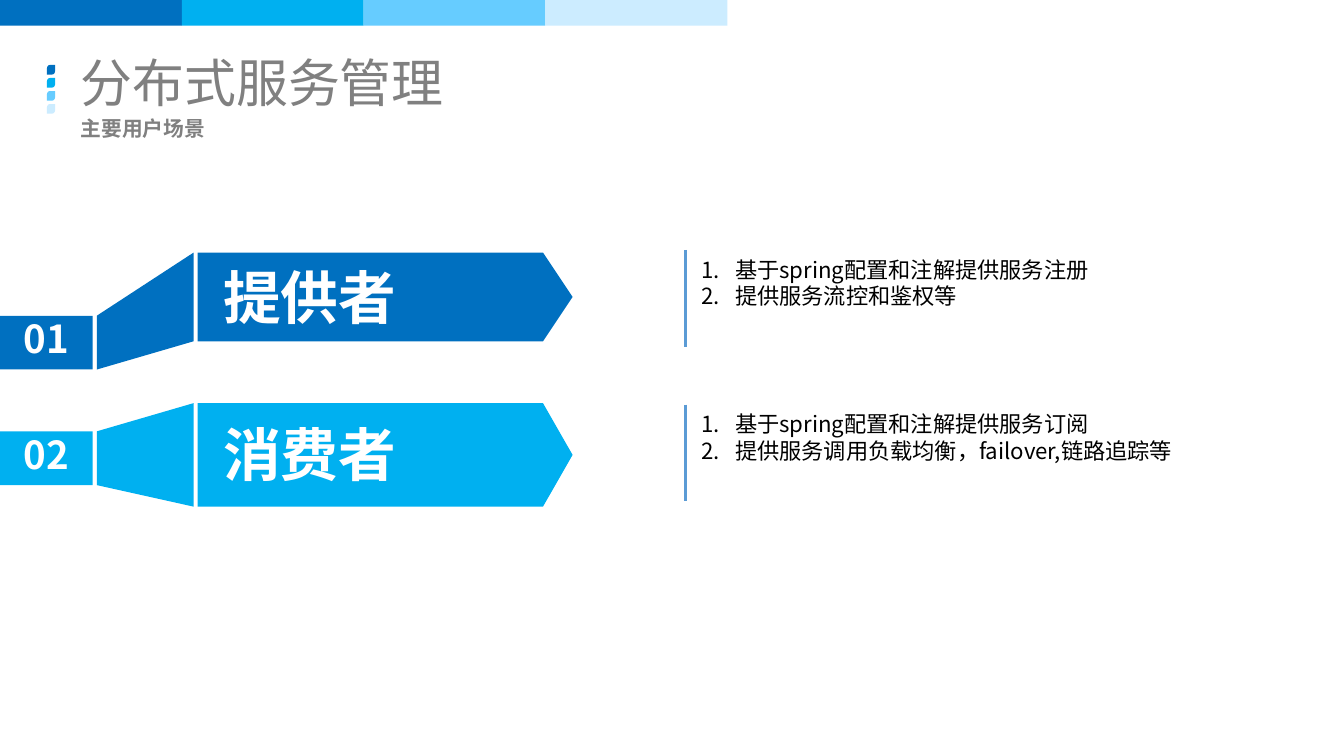
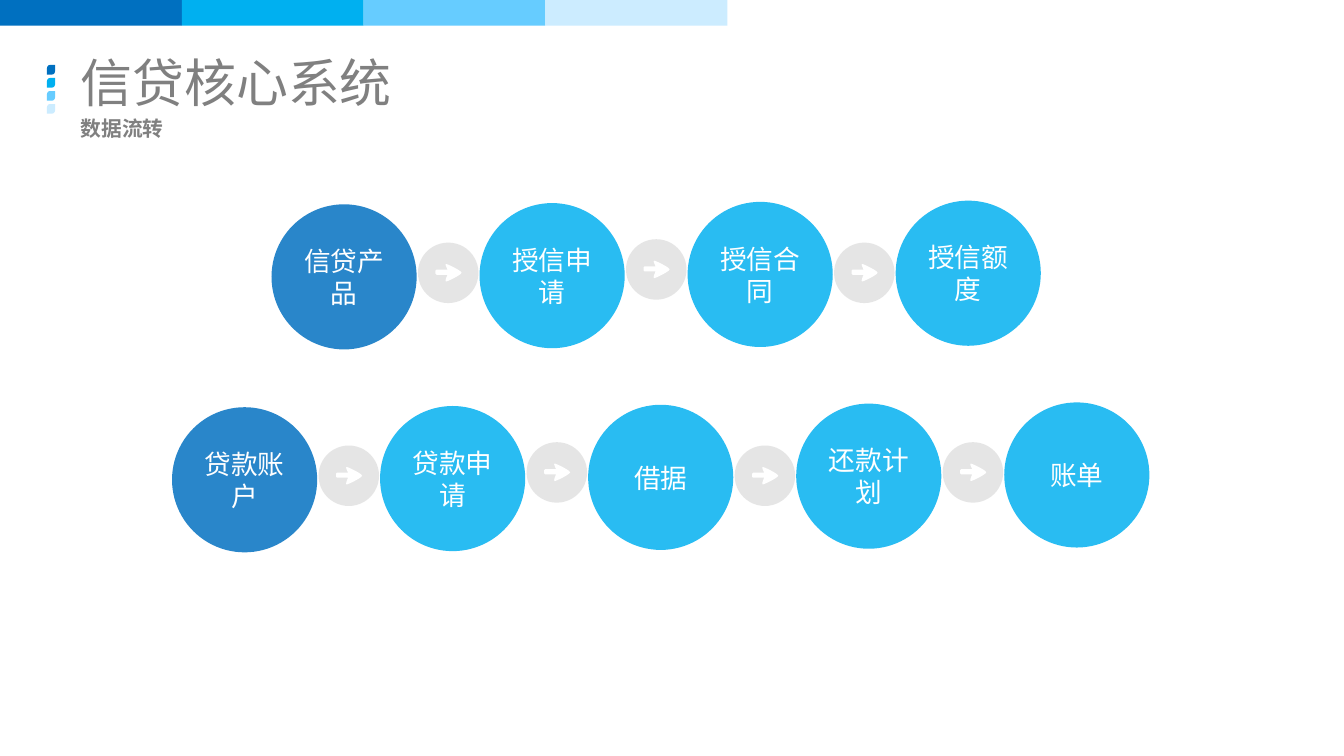
from dataclasses import dataclass

from lxml import etree
from pptx import Presentation
from pptx.dml.color import RGBColor
from pptx.enum.shapes import MSO_CONNECTOR, MSO_SHAPE
from pptx.enum.text import MSO_ANCHOR, MSO_AUTO_SIZE, PP_ALIGN
from pptx.oxml.ns import qn
from pptx.util import Inches, Pt

RECTANGLE = MSO_SHAPE.RECTANGLE
ELLIPSE = MSO_SHAPE.OVAL
LEAF = MSO_SHAPE.ROUND_2_DIAG_RECTANGLE
STRAIGHT = MSO_CONNECTOR.STRAIGHT
TOP, MIDDLE = MSO_ANCHOR.TOP, MSO_ANCHOR.MIDDLE
LEFT, CENTER, JUSTIFY = PP_ALIGN.LEFT, PP_ALIGN.CENTER, PP_ALIGN.JUSTIFY
GROW = MSO_AUTO_SIZE.SHAPE_TO_FIT_TEXT

# The slide is a grid of 100 columns by 56.25 rows
COLUMNS, ROWS = 100, 56.25
CELL = Inches(0.1)


@dataclass(frozen=True)
class Theme:
    font: str = "Noto Sans CJK SC"
    blues: tuple = ("0070C0", "00B0F0", "66CCFF", "CCECFF")
    white: str = "FFFFFF"
    black: str = "000000"
    heading: str = "808080"
    rule: str = "5B9BD5"
    link: str = "D8D8D8"
    title_size: float = 27.8
    subtitle_size: float = 11.1
    banner_size: float = 30.9
    number_size: float = 20.6
    list_size: float = 11.9
    step_size: float = 14.3
    step_opacity: int = 84
    link_opacity: int = 65
    rule_width: float = 1.5


THEME = Theme()


@dataclass(frozen=True)
class Box:
    """An area in columns and rows of the grid."""
    left: float
    top: float
    width: float
    height: float

    def inner(self, left, top, width, height):
        return Box(self.left + left, self.top + top, width, height)

    def lengths(self):
        return [cells(v) for v in (self.left, self.top, self.width, self.height)]


PAGE = Box(0, 0, COLUMNS, ROWS)


def cells(count):
    return round(count * CELL)


# ---- Drawing helpers ----

def paint(shape, color, opacity=100):
    shape.shadow.inherit = False
    shape.line.fill.background()
    shape.fill.solid()
    shape.fill.fore_color.rgb = RGBColor.from_string(color)
    if opacity < 100:
        tint = shape._element.spPr.find(qn("a:solidFill"))[0]
        etree.SubElement(tint, qn("a:alpha"), val=str(opacity * 1000))
    return shape


def add_preset(slide, kind, box, color, opacity=100):
    return paint(slide.shapes.add_shape(kind, *box.lengths()), color, opacity)


def add_outline(slide, box, points, color):
    """Draw a closed outline from points measured from the box's corner."""
    corners = [(cells(box.left + x), cells(box.top + y)) for x, y in points]
    builder = slide.shapes.build_freeform(*corners[0])
    builder.add_line_segments(corners[1:], close=True)
    return paint(builder.convert_to_shape(), color)


def write(shape, lines, size, color, bold=False, align=LEFT, anchor=TOP,
          insets=(0.9, 0.4), wrap=True, grow=False):
    frame = shape.text_frame
    frame.word_wrap = wrap
    frame.vertical_anchor = anchor
    if grow:
        frame.auto_size = GROW
    frame.margin_left = frame.margin_right = cells(insets[0])
    frame.margin_top = frame.margin_bottom = cells(insets[1])
    for index, line in enumerate(lines):
        paragraph = frame.add_paragraph() if index else frame.paragraphs[0]
        paragraph.text = line
        paragraph.alignment = align
        font = paragraph.font
        font.name, font.size, font.bold = THEME.font, Pt(size), bold
        font.color.rgb = RGBColor.from_string(color)
        defaults = paragraph._p.pPr.find(qn("a:defRPr"))
        etree.SubElement(defaults, qn("a:ea"), typeface=THEME.font)
    return frame.paragraphs


def add_text(slide, box, lines, size, color, **options):
    return write(slide.shapes.add_textbox(*box.lengths()), lines, size, color, **options)


def hang(paragraph, indent, numbered=False):
    properties = paragraph._p.get_or_add_pPr()
    properties.set("marL", str(cells(indent)))
    properties.set("indent", str(-cells(indent)))
    if numbered:
        number = etree.Element(qn("a:buAutoNum"), type="arabicPeriod")
        properties.insert(0, number)


def bezier(start, first, second, end, steps=6):
    """Points along a cubic curve, without its start."""
    for step in range(1, steps + 1):
        t = step / steps
        weights = ((1 - t) ** 3, 3 * t * (1 - t) ** 2, 3 * t * t * (1 - t), t ** 3)
        knots = (start, first, second, end)
        yield tuple(sum(w * k[axis] for w, k in zip(weights, knots)) for axis in (0, 1))


# ---- Parts shared by both slides ----

def add_header(slide, box, title, subtitle):
    band_width = box.width * 0.1353
    for index, color in enumerate(THEME.blues):
        add_preset(slide, RECTANGLE,
                   box.inner(index * band_width, 0, band_width, 1.9), color)
        leaf = add_preset(slide, LEAF,
                          box.inner(3.5, 4.83 + index * 0.97, 0.6, 0.72), color)
        leaf.adjustments[0] = 0.4
    add_text(slide, box.inner(5, 4.1, 90, 4), [title], THEME.title_size,
             THEME.heading, anchor=MIDDLE, insets=(1, 0.5))
    caption = add_text(slide, box.inner(5, 8.1, 90, 3.3), [subtitle],
                       THEME.subtitle_size, THEME.heading, bold=True, insets=(1, 0.5))[0]
    caption.space_before = Pt(THEME.subtitle_size * 0.2)
    hang(caption, 3.7)


def add_page(presentation, title, subtitle):
    slide = presentation.slides.add_slide(presentation.slide_layouts[6])
    slide.background.fill.solid()
    slide.background.fill.fore_color.rgb = RGBColor.from_string(THEME.white)
    add_header(slide, PAGE, title, subtitle)
    return slide


# ---- Scenario slide ----

def add_ribbon(slide, box, tab_top, number, role, color):
    """A numbered tab that folds out into a pointed banner."""
    tab_height, fold_left, fold_right = 4, 7.2, 14.4
    banner_left, shoulder = 14.7, 40.4
    add_outline(slide, box, [(fold_left, tab_top + tab_height), (fold_right, box.height),
                             (fold_right, 0), (fold_left, tab_top)], color)
    add_preset(slide, RECTANGLE, box.inner(-0.3, tab_top, 7.2, tab_height), color)
    add_outline(slide, box, [(banner_left, 0), (shoulder, 0), (box.width, box.height / 2),
                             (shoulder, box.height), (banner_left, box.height)], color)
    add_text(slide, box.inner(15.7, (box.height - 6.1) / 2, 14.8, 6.1), [role],
             THEME.banner_size, THEME.white, bold=True, wrap=False, grow=True)
    add_text(slide, box.inner(0.85, tab_top - 0.45, 5.3, 4.3), [number],
             THEME.number_size, THEME.white, bold=True, wrap=False, grow=True)


def add_duties(slide, box, lines):
    """A numbered list beside a vertical rule."""
    left, top, _, height = box.lengths()
    rule = slide.shapes.add_connector(STRAIGHT, left, top, left, top + height)
    rule.line.color.rgb = RGBColor.from_string(THEME.rule)
    rule.line.width = Pt(THEME.rule_width)
    etree.SubElement(rule._element.spPr, qn("a:effectLst"))
    paragraphs = add_text(slide, box.inner(0.3, 0.05, box.width - 0.3, 4.9), lines,
                          THEME.list_size, THEME.black, align=JUSTIFY, grow=True)
    for paragraph in paragraphs:
        hang(paragraph, 2.5, numbered=True)


def build_scenarios(presentation):
    slide = add_page(presentation, "分布式服务管理", "主要用户场景")
    scenarios = [
        ("提供者", Box(0, 18.8, 42.6, 6.6), 4.7, 18.6,
         ["基于spring配置和注解提供服务注册", "提供服务流控和鉴权等"]),
        ("消费者", Box(0, 30, 42.6, 7.7), 2.1, 30.1,
         ["基于spring配置和注解提供服务订阅",
          "提供服务调用负载均衡，failover,链路追踪等"]),
    ]
    for index, (role, box, tab_top, list_top, lines) in enumerate(scenarios):
        add_ribbon(slide, box, tab_top, f"{index + 1:02}", role, THEME.blues[index])
        add_duties(slide, Box(51, list_top, 41.8, 7.2), lines)


# ---- Data flow slide ----

def add_link(slide, box):
    """A pale disc holding a small arrow."""
    add_preset(slide, ELLIPSE, box, THEME.link, THEME.link_opacity)
    top, neck, foot, bottom = (0.8, 0), (0.9, 0.42), (0.9, 0.8), (0.8, 1.3)
    tip = (1.94, 0.65)
    points = [top, *bezier(top, (0.7, 0), (0.8, 0.2), neck),
              (0.08, 0.42), (0, 0.5), (0, 0.72), (0.08, 0.8), foot,
              *bezier(foot, (0.8, 1), (0.7, 1.3), bottom),
              *bezier(bottom, (0.9, 1.3), (1.94, 0.8), tip),
              *bezier(tip, (1.94, 0.5), (0.9, 0), top)]
    add_outline(slide, box.inner(1.3, 1.6, 1.9, 1.3), points, THEME.white)


def add_flow(slide, box, steps):
    """A row of discs rising slightly, with a link between neighbours."""
    pitch, rise, disc, link = 15.48, 0.09, 10.8, 4.5
    for index, step in enumerate(steps):
        left = index * pitch
        circle = add_preset(slide, ELLIPSE, box.inner(left, -index * rise, disc, disc),
                            THEME.blues[min(index, 1)], THEME.step_opacity)
        write(circle, [step], THEME.step_size, THEME.white, align=CENTER,
              anchor=MIDDLE, insets=(0.8, 0.4))
        if index < len(steps) - 1:
            link_top = 2.6 if index % 2 else 2.85
            add_link(slide, box.inner(left + 10.9, link_top, link, link))


def build_data_flow(presentation):
    slide = add_page(presentation, "信贷核心系统", "数据流转")
    add_flow(slide, Box(20.2, 15.2, 57.3, 10.8),
             ["信贷产品", "授信申请", "授信合同", "授信额度"])
    add_flow(slide, Box(12.8, 30.3, 72.7, 10.8),
             ["贷款账户", "贷款申请", "借据", "还款计划", "账单"])


def main():
    presentation = Presentation()
    presentation.slide_width = cells(COLUMNS)
    presentation.slide_height = cells(ROWS)
    build_scenarios(presentation)
    build_data_flow(presentation)
    presentation.save("out.pptx")


if __name__ == "__main__":
    main()
